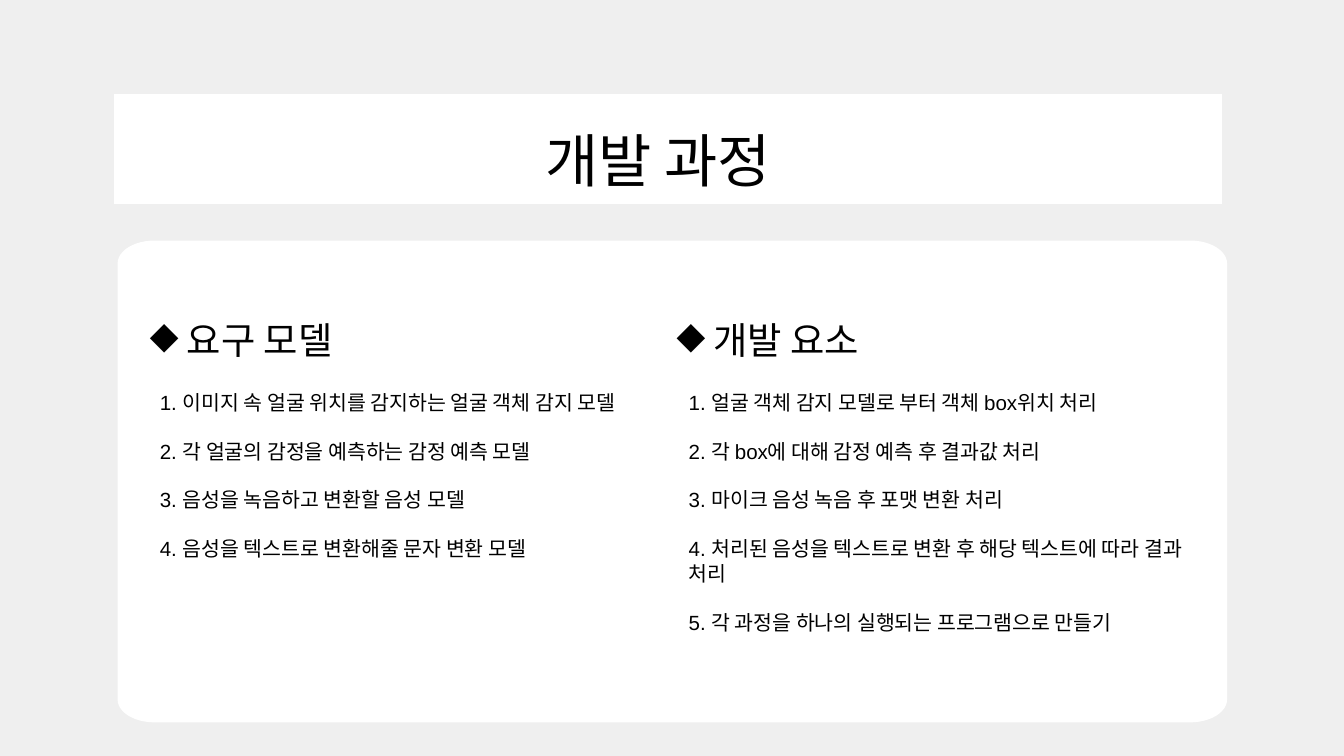
from math import cos, pi, sin

from lxml.etree import SubElement
from pptx import Presentation
from pptx.dml.color import RGBColor
from pptx.enum.text import MSO_ANCHOR, MSO_AUTO_SIZE, PP_ALIGN
from pptx.oxml.ns import qn
from pptx.util import Inches, Pt

# Grid of 80 columns by 45 rows
CELL = 0.25
COLS, ROWS = 80, 45
COLORS = {"back": "EFEFEF", "panel": "FFFFFF", "ink": "000000"}
HEAD, BODY = "Montserrat", "Arial"

# Left column of the heading and of the list, list width, heading, items
TOPICS = [
    (8.92, 9.12, 30, "요구 모델", [
        "이미지 속 얼굴 위치를 감지하는 얼굴 객체 감지 모델",
        "각 얼굴의 감정을 예측하는 감정 예측 모델",
        "음성을 녹음하고 변환할 음성 모델",
        "음성을 텍스트로 변환해줄 문자 변환 모델",
    ]),
    (40.28, 40.6, 31, "개발 요소", [
        "얼굴 객체 감지 모델로 부터 객체 box위치 처리",
        "각 box에 대해 감정 예측 후 결과값 처리",
        "마이크 음성 녹음 후 포맷 변환 처리",
        "처리된 음성을 텍스트로 변환 후 해당 텍스트에 따라 결과 처리",
        "각 과정을 하나의 실행되는 프로그램으로 만들기",
    ]),
]


def grid(count):
    return Inches(count * CELL)


def paint(fill, name):
    fill.solid()
    fill.fore_color.rgb = RGBColor.from_string(COLORS[name])


def add_run(para, text, size, font):
    run = para.add_run()
    run.text = text
    run.font.size = Pt(size)
    run.font.name = font
    run.font.color.rgb = RGBColor.from_string(COLORS["ink"])


def place(shape, x, y, w, h):
    shape.left, shape.top = grid(x), grid(y)
    shape.width, shape.height = grid(w), grid(h)


def set_frame(frame, side=0, top=0):
    frame.word_wrap = True
    frame.auto_size = MSO_AUTO_SIZE.NONE
    frame.vertical_anchor = MSO_ANCHOR.TOP
    frame.margin_left = frame.margin_right = Inches(side)
    frame.margin_top = frame.margin_bottom = Inches(top)


def add_panel(slide, x, y, w, h, rx=0, ry=0, steps=12):
    """Draw a white panel whose corners are quarter ellipses."""
    centres = [(x + w - rx, y + h - ry), (x + rx, y + h - ry),
               (x + rx, y + ry), (x + w - rx, y + ry)]
    points = []
    for turn, (cx, cy) in enumerate(centres):
        for step in range(steps + 1 if rx else 1):
            angle = (turn + step / steps) * pi / 2
            points.append((grid(cx + rx * cos(angle)),
                           grid(cy + ry * sin(angle))))
    pen = slide.shapes.build_freeform(*points[0])
    pen.add_line_segments(points[1:], close=True)
    panel = pen.convert_to_shape()
    panel.shadow.inherit = False
    paint(panel.fill, "panel")
    panel.line.fill.background()


def add_title(slide, text):
    title = slide.shapes.title
    place(title, 15.6, 7.4, 47.16, 4.12)
    set_frame(title.text_frame)
    para = title.text_frame.paragraphs[0]
    para.alignment = PP_ALIGN.CENTER
    para.line_spacing = Pt(74.4)
    add_run(para, text, 62, HEAD)
    # Bring the title in front of its banner
    title.element.getparent().append(title.element)


def add_bullet(para, mark):
    props = para._p.get_or_add_pPr()
    props.set("marL", str(Inches(0.24)))
    props.set("indent", str(-Inches(0.24)))
    color = SubElement(props, qn("a:buClr"))
    SubElement(color, qn("a:srgbClr"), val=COLORS["ink"])
    SubElement(props, qn("a:buChar"), char=mark)


def add_heading(slide, x, text):
    box = slide.shapes.add_textbox(grid(x), grid(18.88), grid(27.32), grid(2.68))
    set_frame(box.text_frame)
    para = box.text_frame.paragraphs[0]
    para.line_spacing = Pt(48)
    add_bullet(para, "◆")
    add_run(para, " " + text, 40, HEAD)


def add_list(slide, x, width, items):
    box = slide.shapes.add_textbox(grid(x), grid(23), grid(width), grid(14))
    frame = box.text_frame
    set_frame(frame, 0.1, 0.05)
    for num, item in enumerate(items, 1):
        para = frame.paragraphs[0] if num == 1 else frame.add_paragraph()
        para.space_after = Pt(26)
        add_run(para, f"{num}. {item}", 22, BODY)


def main():
    deck = Presentation()
    deck.slide_width, deck.slide_height = grid(COLS), grid(ROWS)
    slide = deck.slides.add_slide(deck.slide_layouts[5])
    paint(slide.background.fill, "back")

    # Banner and content panel
    add_panel(slide, 6.76, 5.6, 66, 6.54)
    add_panel(slide, 7, 14.32, 66.04, 28.68, rx=2.2, ry=1.36)

    # Two topics side by side
    for left, inset, width, head, items in TOPICS:
        add_heading(slide, left, head)
        add_list(slide, inset, width, items)
    add_title(slide, "개발 과정")
    deck.save("out.pptx")


if __name__ == "__main__":
    main()
